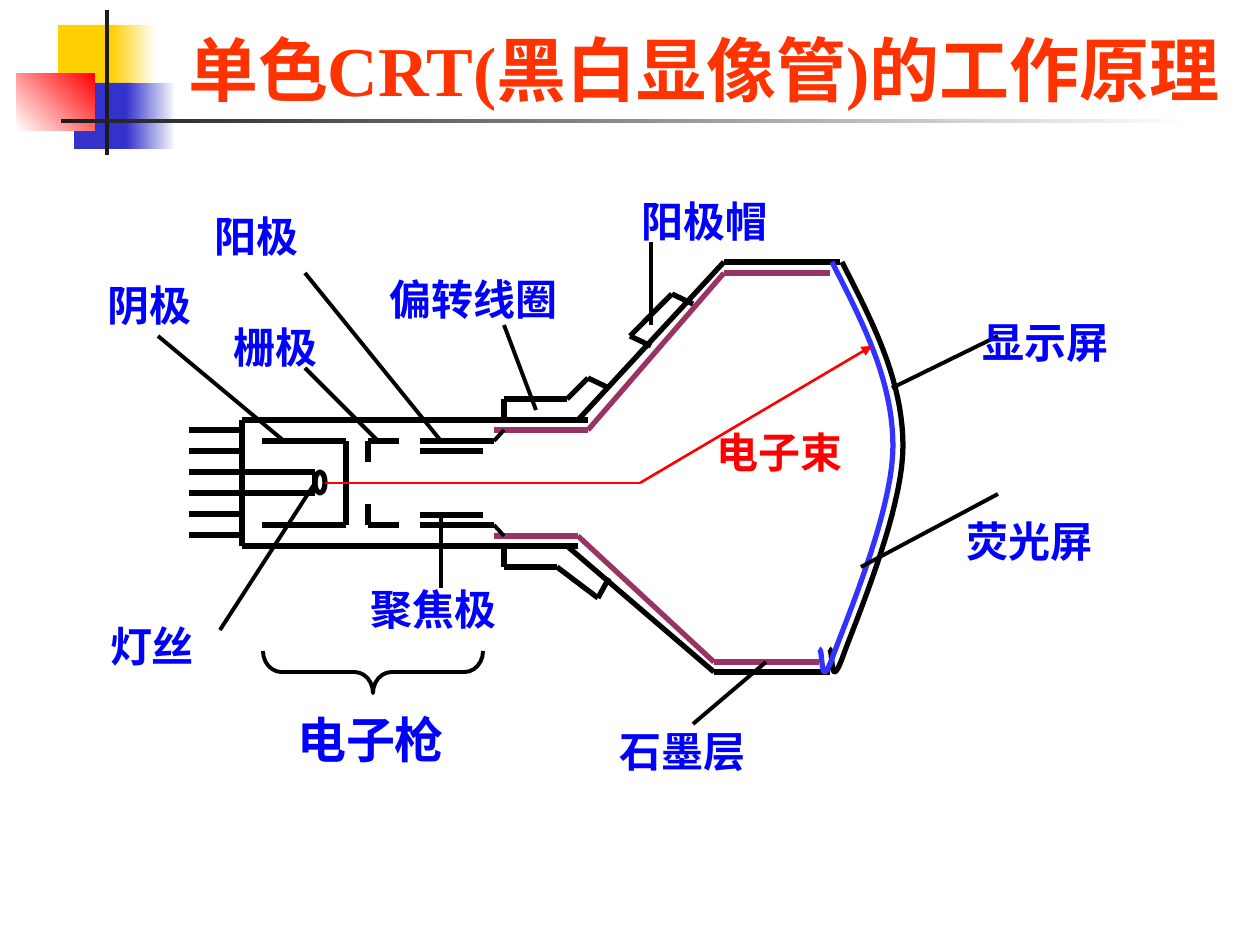
from itertools import pairwise
from lxml import etree
from pptx import Presentation
from pptx.dml.color import RGBColor
from pptx.enum.shapes import MSO_CONNECTOR as CONNECTOR, MSO_SHAPE as SHAPE
from pptx.enum.text import MSO_ANCHOR as ANCHOR, PP_ALIGN as ALIGN
from pptx.oxml.ns import qn
from pptx.util import Emu, Pt

PX_PER_INCH = 126
EMU_PER_PX = 914400 / PX_PER_INCH
COLORS = {
    "white": "FFFFFF", "black": "000000", "dark": "1C1C1C",
    "yellow": "FFCF01", "indigo": "3333CC", "red": "FF0000",
    "title": "FF3300", "label": "0000FF",
    "graphite": "993366", "phosphor": "3333FF",
}

# Cubic curve of the screen: a start point, then three points per segment
SCREEN_CURVE = [(842, 262), (872, 321), (903, 380), (903, 446), (903, 512),
                (854, 625), (842, 659), (829, 693), (834, 649), (829, 649)]
LABELS = [
    ("灯丝", 98, 614, 108), ("阴极", 96, 273, 108), ("栅极", 222, 315, 108),
    ("阳极", 203, 204, 108), ("聚焦极", 358, 577, 151),
    ("石墨层", 607, 719, 151), ("荧光屏", 954, 509, 151),
    ("显示屏", 970, 310, 151), ("阳极帽", 629, 189, 151),
    ("偏转线圈", 377, 267, 193),
]
LEADERS = [
    [(315, 483), (220, 630)], [(158, 336), (284, 441)],
    [(378, 441), (305, 368)], [(441, 514), (441, 588)],
    [(536, 410), (504, 325)], [(651, 325), (651, 242)],
    [(766, 662), (693, 724)], [(892, 388), (998, 336)],
    [(861, 567), (998, 494)], [(441, 441), (305, 273)],
]


def px(length):
    return Emu(round(length * EMU_PER_PX))


def rgb(color):
    return RGBColor.from_string(COLORS[color])


def add_block(slide, left, top, width, height, color, end=None, angle=0):
    block = slide.shapes.add_shape(
        SHAPE.RECTANGLE, px(left), px(top), px(width), px(height))
    block.shadow.inherit = False
    block.line.fill.background()
    if end is None:
        block.fill.solid()
        block.fill.fore_color.rgb = rgb(color)
        return
    block.fill.gradient()
    block.fill.gradient_angle = angle
    for stop, stop_color in zip(block.fill.gradient_stops, (color, end)):
        stop.color.rgb = rgb(stop_color)


def add_text(slide, text, left, top, width, height, *, size=24, color="label",
             align=ALIGN.CENTER, anchor=ANCHOR.MIDDLE, wrap=False, inset=0):
    box = slide.shapes.add_textbox(px(left), px(top), px(width), px(height))
    frame = box.text_frame
    frame.word_wrap = wrap
    frame.vertical_anchor = anchor
    frame.margin_left = frame.margin_right = px(inset)
    paragraph = frame.paragraphs[0]
    paragraph.text = text
    paragraph.alignment = align
    font = paragraph.font
    font.name, font.size, font.bold = "Times New Roman", Pt(size), True
    font.color.rgb = rgb(color)


def set_stroke(shape, color, weight):
    shape.line.color.rgb = rgb(color)
    shape.line.width = Pt(weight)


def trace(slide, points, color="black", weight=3, arrow=False):
    """Join the points with straight lines, with an arrowhead at the end."""
    for start, end in pairwise(points):
        line = slide.shapes.add_connector(
            CONNECTOR.STRAIGHT, *map(px, start + end))
        set_stroke(line, color, weight)
        etree.SubElement(line._element.spPr, qn("a:effectLst"))
    if arrow:
        etree.SubElement(line.line._get_or_add_ln(), qn("a:tailEnd"),
                         type="triangle")


def bezier(p0, p1, p2, p3, t):
    u = 1 - t
    return tuple(u**3 * a + 3 * u * u * t * b + 3 * u * t * t * c + t**3 * d
                 for a, b, c, d in zip(p0, p1, p2, p3))


def add_curve(slide, controls, color, shift=0, steps=20):
    points = [controls[0]]
    for i in range(0, len(controls) - 1, 3):
        points += [bezier(*controls[i:i + 4], step / steps)
                   for step in range(1, steps + 1)]
    points = [(px(x + shift), px(y)) for x, y in points]
    builder = slide.shapes.build_freeform(*points[0], scale=1.0)
    builder.add_line_segments(points[1:], close=False)
    curve = builder.convert_to_shape()
    curve.shadow.inherit = False
    curve.fill.background()
    set_stroke(curve, color, 3)


def add_header(slide):
    add_block(slide, 58, 25, 60, 66, "yellow")
    add_block(slide, 111, 25, 45, 66, "yellow", "white")
    add_block(slide, 74, 83, 58, 66, "indigo")
    add_block(slide, 126, 83, 50, 66, "indigo", "white")
    add_block(slide, 17, 73, 78, 58, "white", "red", angle=45)
    add_block(slide, 105, 10, 4, 145, "dark")
    add_block(slide, 61, 119, 1134, 4, "dark", "white")
    add_text(slide, "单色CRT(黑白显像管)的工作原理", 0, 12, 1232, 105, size=40,
             color="title", align=ALIGN.RIGHT, anchor=ANCHOR.BOTTOM,
             wrap=True, inset=13)


def add_tube(slide):
    # Glass envelope and screen
    trace(slide, [(588, 420), (242, 420), (242, 546), (578, 546)])
    trace(slide, [(578, 420), (724, 262), (840, 262)])
    trace(slide, [(567, 546), (714, 672), (830, 672)])
    add_curve(slide, SCREEN_CURVE, "black")
    # Anode cap
    trace(slide, [(651, 346), (630, 336), (672, 294), (693, 304)])
    # Deflection coils
    trace(slide, [(504, 420), (504, 399), (567, 399), (588, 378), (609, 388)])
    trace(slide, [(504, 546), (504, 567), (557, 567), (598, 598), (609, 578)])
    # Phosphor and graphite layers
    add_curve(slide, SCREEN_CURVE, "phosphor", shift=-10)
    trace(slide, [(494, 430), (588, 430), (724, 273), (830, 273)], "graphite")
    trace(slide, [(494, 536), (578, 536), (714, 662), (819, 662)], "graphite")


def add_gun(slide):
    # Base pins
    for y in range(430, 536, 21):
        trace(slide, [(189, y), (242, y)])
    # Cathode and filament
    trace(slide, [(262, 441), (346, 441), (346, 525), (262, 525)])
    trace(slide, [(242, 472), (315, 472), (315, 493), (242, 493)])
    filament = slide.shapes.add_shape(
        SHAPE.OVAL, px(315), px(472), px(10), px(21))
    filament.shadow.inherit = False
    filament.fill.solid()
    filament.fill.fore_color.rgb = rgb("white")
    fill_color = filament._element.spPr.find(
        f"{qn('a:solidFill')}/{qn('a:srgbClr')}")
    etree.SubElement(fill_color, qn("a:alpha"), val="50000")
    set_stroke(filament, "black", 3)
    # Grid, anode and focus electrode, mirrored about the axis
    axis = 483
    for side in (-1, 1):
        outer, inner, wall = (axis + side * gap for gap in (42, 32, 53))
        trace(slide, [(368, axis + side * 21), (368, outer), (399, outer)])
        trace(slide, [(420, outer), (494, outer)])
        trace(slide, [(494, outer), (504, wall)], weight=2.25)
        trace(slide, [(420, inner), (483, inner)])


def add_gun_brace(slide):
    brace = slide.shapes.add_shape(
        SHAPE.LEFT_BRACE, px(352), px(562), px(42), px(220))
    brace.rotation = 270
    brace.adjustments[0] = 0.44
    brace.shadow.inherit = False
    brace.fill.background()
    set_stroke(brace, "black", 2.25)
    add_text(slide, "电子枪", 285, 703, 171, 72, size=28)


def add_beam(slide):
    trace(slide, [(325, 483), (640, 483), (872, 346)], "red", 1.5, arrow=True)
    add_text(slide, "电子束", 704, 420, 151, 63, color="red")


def main():
    deck = Presentation()
    deck.slide_width, deck.slide_height = px(1260), px(945)
    slide = deck.slides.add_slide(deck.slide_layouts[6])
    add_header(slide)
    add_tube(slide)
    add_gun(slide)
    for leader in LEADERS:
        trace(slide, leader, weight=2.25)
    for text, left, top, width in LABELS:
        add_text(slide, text, left, top, width, 63)
    add_gun_brace(slide)
    add_beam(slide)
    deck.save("out.pptx")


if __name__ == "__main__":
    main()
